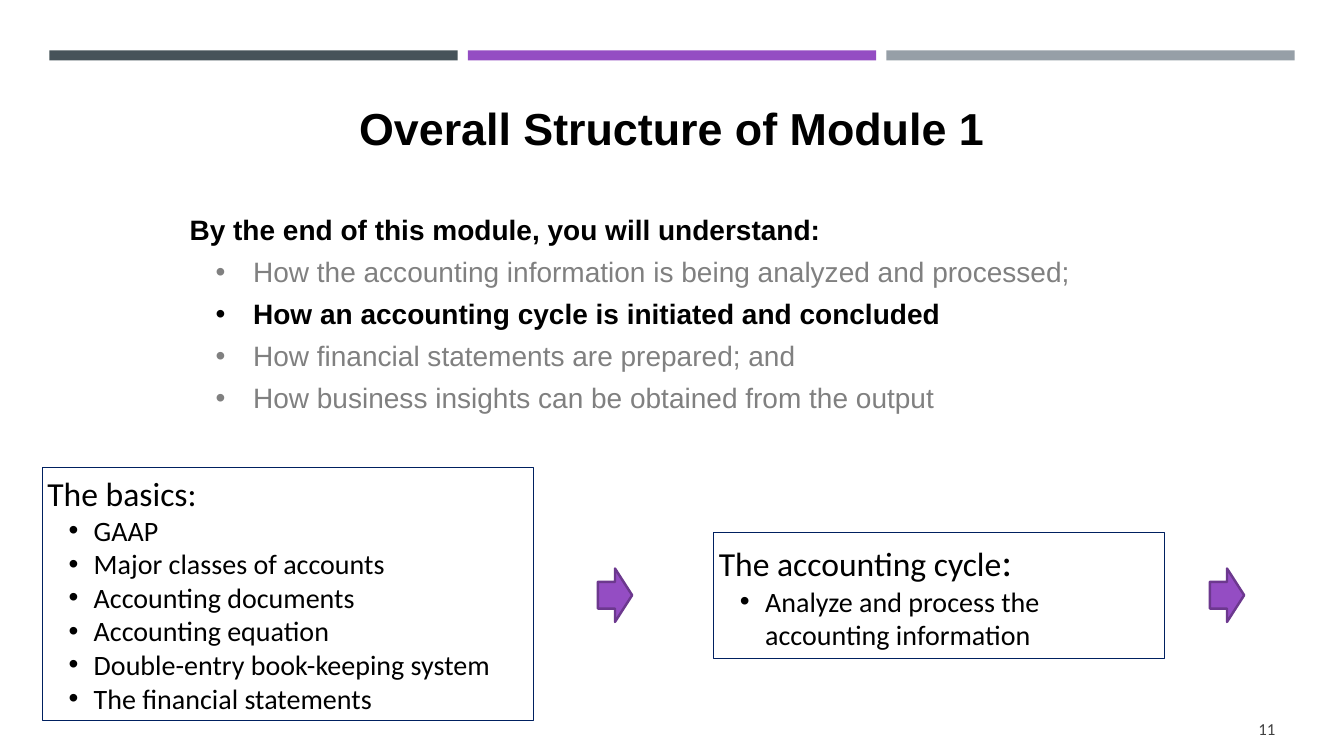
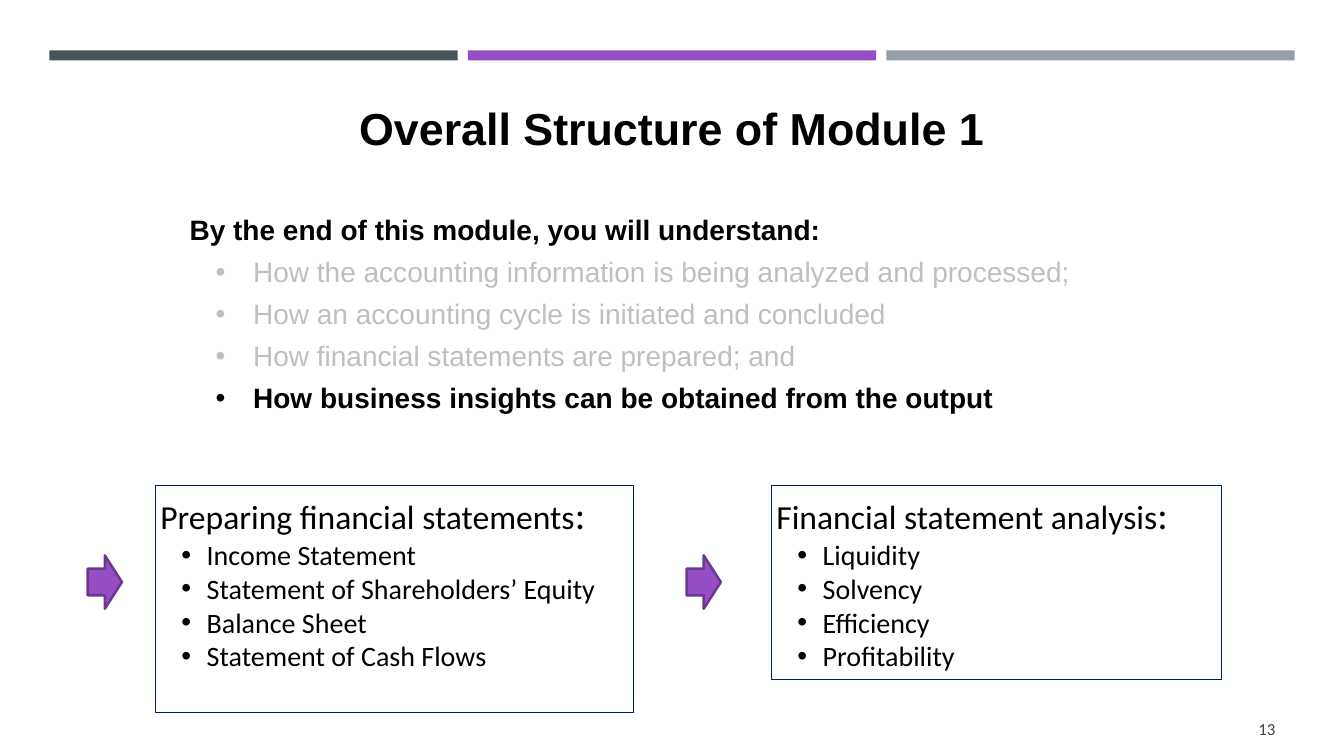
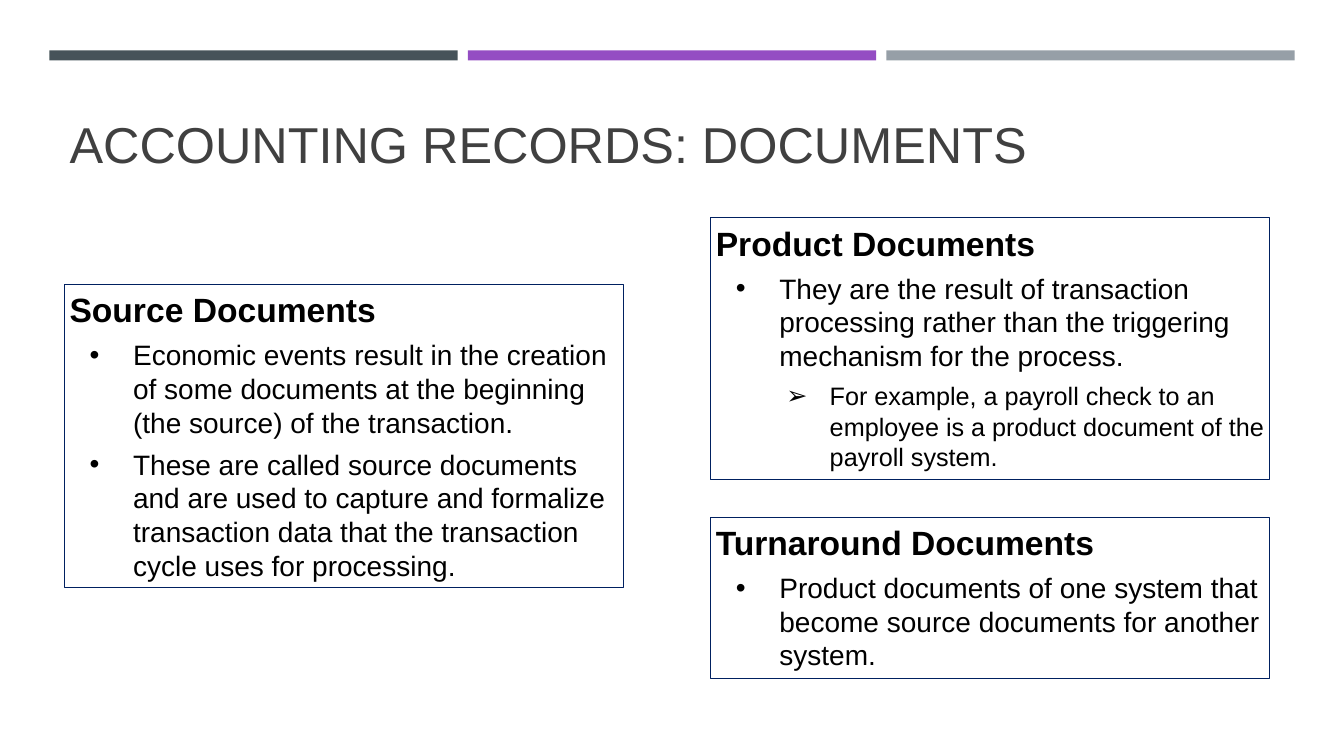
from pptx import Presentation
from pptx import util as u
from pptx.dml.color import RGBColor
from pptx.enum import shapes, text
from pptx.oxml.ns import qn
from lxml import etree

PX = 9144  # EMU per px, 100 px to the inch

BLACK = RGBColor(0x00, 0x00, 0x00)
CHARCOAL = RGBColor(0x40, 0x40, 0x40)
GREY = RGBColor(0x80, 0x80, 0x80)
PALE = RGBColor(0xBF, 0xBF, 0xBF)
SLATE = RGBColor(0x46, 0x53, 0x59)
PURPLE = RGBColor(0x94, 0x4D, 0xC3)
PLUM = RGBColor(0x6C, 0x38, 0x8E)
STEEL = RGBColor(0x96, 0x9F, 0xA7)
NAVY = RGBColor(0x00, 0x20, 0x60)

# Content
MODULE_TITLE = "Overall Structure of Module 1"
GOALS_LEAD = "By the end of this module, you will understand:"
GOALS = [
    "How the accounting information is being analyzed and processed;",
    "How an accounting cycle is initiated and concluded",
    "How financial statements are prepared; and",
    "How business insights can be obtained from the output",
]
# Each stage: frame, heading, size of its colon, bullets
MODULE_SLIDES = [
    dict(number="11", current=1, muted=GREY, arrows=[(593, 564), (1200, 564)], stages=[
        ((42, 464, 487, 251), "The basics", 24,
         ["GAAP", "Major classes of accounts", "Accounting documents", "Accounting equation",
          "Double-entry book-keeping system", "The financial statements"]),
        ((708, 528, 447, 125), "The accounting cycle", 28,
         ["Analyze and process the accounting information"]),
    ]),
    dict(number="13", current=3, muted=PALE, arrows=[(87, 551), (681, 551)], stages=[
        ((154, 482, 474, 225), "Preparing financial statements", 28,
         ["Income Statement", "Statement of Shareholders’ Equity", "Balance Sheet",
          "Statement of Cash Flows"]),
        ((765, 482, 447, 192), "Financial statement analysis", 28,
         ["Liquidity", "Solvency", "Efficiency", "Profitability"]),
    ]),
]
RECORDS_TITLE = "ACCOUNTING RECORDS: DOCUMENTS"
# Each record: frame, heading, (level, text) points
RECORDS = [
    ((64, 282, 554, 301), "Source Documents", [
        (1, "Economic events result in the creation of some documents at the beginning "
            "(the source) of the transaction."),
        (1, "These are called source documents and are used to capture and formalize "
            "transaction data that the transaction cycle uses for processing.")]),
    ((705, 216, 554, 260), "Product Documents", [
        (1, "They are the result of transaction processing rather than the triggering "
            "mechanism for the process."),
        (2, "For example, a payroll check to an employee is a product document of "
            "the payroll system.")]),
    ((705, 513, 554, 160), "Turnaround Documents", [
        (1, "Product documents of one system that become source documents for another "
            "system.")]),
]
# Per level: bullet, left margin, hanging indent, text size
RECORD_LEVELS = {1: ("•", 63, 43, 20), 2: ("➢", 113, 43, 18)}


def px(*lengths):
    return [u.Emu(length * PX) for length in lengths]


def add_shape(slide, kind, frame, fill=None, line=None, weight=0.75):
    shape = slide.shapes.add_shape(kind, *px(*frame))
    shape.shadow.inherit = False
    if fill is None:
        shape.fill.background()
    else:
        shape.fill.solid()
        shape.fill.fore_color.rgb = fill
    if line is None:
        shape.line.fill.background()
    else:
        shape.line.color.rgb = line
        shape.line.width = u.Pt(weight)
    return shape


def para(*runs, bullet=None, margin=0, hang=0, before=0, align=text.PP_ALIGN.LEFT):
    """Describe a paragraph; each run is (words, size, color, bold)."""
    return dict(runs=runs, bullet=bullet, margin=margin, hang=hang, before=before, align=align)


def write(shape, font, paragraphs, anchor=text.MSO_ANCHOR.TOP, wrap=True):
    frame = shape.text_frame
    frame.word_wrap = wrap
    frame.vertical_anchor = anchor
    frame.margin_left = frame.margin_right = frame.margin_top = frame.margin_bottom = 5 * PX
    for i, item in enumerate(paragraphs):
        p = frame.paragraphs[0] if i == 0 else frame.add_paragraph()
        if item["bullet"]:
            props = p._p.get_or_add_pPr()
            props.set("marL", str(item["margin"] * PX))
            props.set("indent", str(-item["hang"] * PX))
            etree.SubElement(props, qn("a:buFont")).set("typeface", "Arial")
            etree.SubElement(props, qn("a:buChar")).set("char", item["bullet"])
        p.alignment = item["align"]
        p.line_spacing = u.Pt(1.2 * max(run[1] for run in item["runs"]))
        p.space_before = u.Pt(item["before"] if i else 0)
        for words, size, color, bold in item["runs"]:
            run = p.add_run()
            run.text = words
            run.font.name = font
            run.font.size = u.Pt(size)
            run.font.bold = bold
            run.font.color.rgb = color


def add_text(slide, frame, font, paragraphs, **options):
    write(slide.shapes.add_textbox(*px(*frame)), font, paragraphs, **options)


def add_panel(slide, frame, font, paragraphs):
    write(add_shape(slide, shapes.MSO_SHAPE.RECTANGLE, frame, line=NAVY), font, paragraphs)


def new_slide(prs):
    slide = prs.slides.add_slide(prs.slide_layouts[6])
    for i, color in enumerate((SLATE, PURPLE, STEEL)):
        add_shape(slide, shapes.MSO_SHAPE.RECTANGLE, (49 + 415 * i, 50, 405, 10), fill=color)
    return slide


def module_slide(prs, number, current, muted, arrows, stages):
    slide = new_slide(prs)
    add_text(slide, (1241, 708, 29, 29), "Calibri",
             [para((number, 12, CHARCOAL, False), align=text.PP_ALIGN.RIGHT)],
             anchor=text.MSO_ANCHOR.MIDDLE, wrap=False)
    add_text(slide, (5, 95, 1323, 63), "Arial",
             [para((MODULE_TITLE, 32, BLACK, True), align=text.PP_ALIGN.CENTER)])

    # Goals, with the current one emphasised
    goals = [para((GOALS_LEAD, 20, BLACK, True))]
    for i, goal in enumerate(GOALS):
        active = i == current
        goals.append(para((goal, 20, BLACK if active else muted, active),
                          bullet="•", margin=63, hang=37, before=6))
    add_text(slide, (183, 206, 1031, 210), "Arial", goals)

    # Stages and the arrows between them
    for frame, heading, colon_size, points in stages:
        lines = [para((heading, 24, BLACK, False), (":", colon_size, BLACK, False))]
        lines += [para((point, 20, BLACK, False), bullet="•", margin=46, hang=25)
                  for point in points]
        add_panel(slide, frame, "Calibri", lines)
    for left, top in arrows:
        add_shape(slide, shapes.MSO_SHAPE.RIGHT_ARROW, (left, top, 34, 53),
                  fill=PURPLE, line=PLUM, weight=1.75)


def records_slide(prs):
    slide = new_slide(prs)
    add_text(slide, (64, 77, 1206, 130), "Arial",
             [para((RECORDS_TITLE, 36, CHARCOAL, False))], anchor=text.MSO_ANCHOR.MIDDLE)
    for frame, heading, points in RECORDS:
        lines = [para((heading, 24, BLACK, True))]
        for level, words in points:
            bullet, margin, hang, size = RECORD_LEVELS[level]
            lines.append(para((words, size, BLACK, False),
                              bullet=bullet, margin=margin, hang=hang, before=6))
        add_panel(slide, frame, "Arial", lines)


def main():
    prs = Presentation()
    prs.slide_width, prs.slide_height = px(1333, 750)
    for content in MODULE_SLIDES:
        module_slide(prs, **content)
    records_slide(prs)
    prs.save("out.pptx")


if __name__ == "__main__":
    main()
